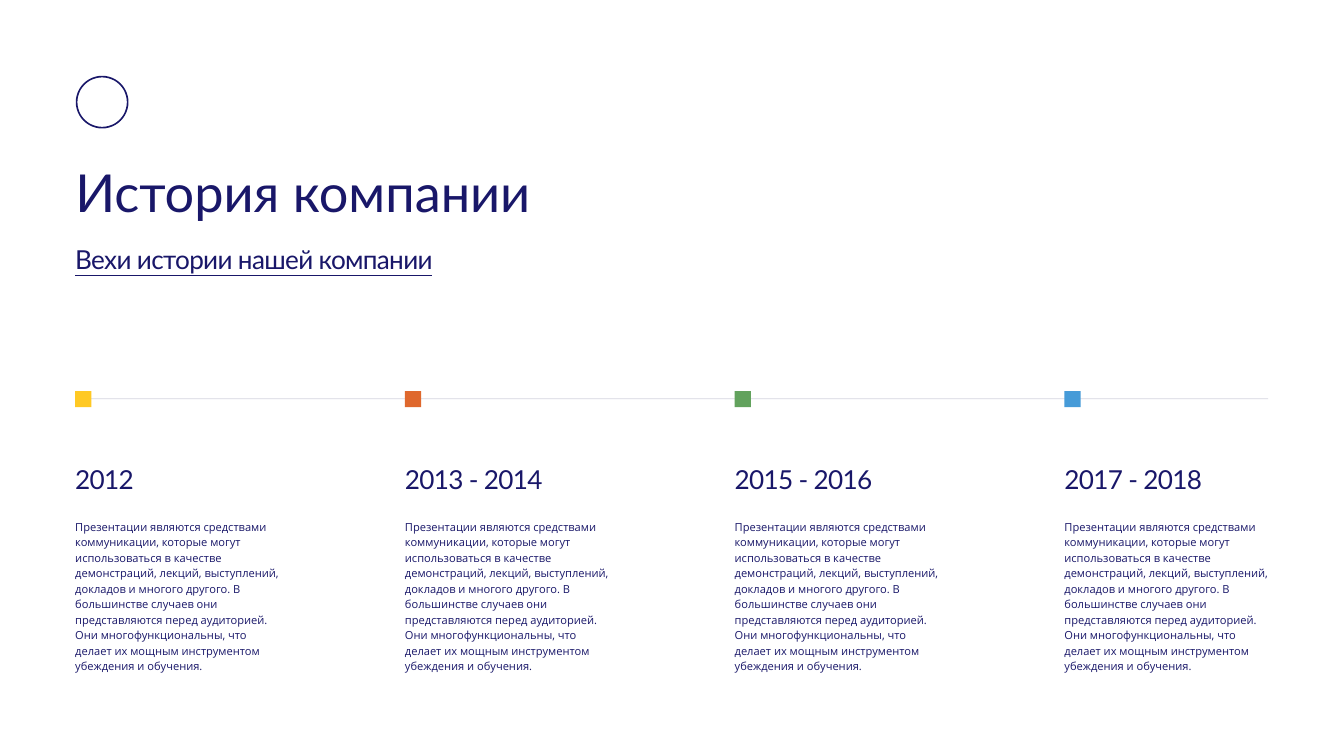
from dataclasses import dataclass

from lxml import etree
from pptx import Presentation
from pptx import util as u
from pptx.dml.color import RGBColor
from pptx.enum import shapes, text
from pptx.oxml.ns import qn
from pptx.shapes.autoshape import Shape
from pptx.slide import Slide

COLORS = {
    "navy": "191769",
    "axis": "29285D",
    "yellow": "FFC924",
    "orange": "DF682D",
    "green": "62A25D",
    "blue": "469BD8",
}

LEFT = 1.12
LAST_COLUMN = 15.84
COLUMN_WIDTH = 3.04
AXIS_WIDTH = 17.75
MARKER_SIZE = 0.24

STORY = (
    "Презентации являются средствами коммуникации, которые могут "
    "использоваться в качестве демонстраций, лекций, выступлений, докладов "
    "и многого другого. В большинстве случаев они представляются перед "
    "аудиторией. Они многофункциональны, что делает их мощным инструментом "
    "убеждения и обучения."
)


@dataclass(frozen=True)
class TextStyle:
    font: str
    size: float
    line_height: float
    tracking: float = 0
    underline: bool = False


@dataclass(frozen=True)
class Milestone:
    years: str
    color: str


TITLE = TextStyle("Lato", 56, 55.4)
SUBTITLE = TextStyle("Lato", 28, 31.1, tracking=-0.7, underline=True)
YEARS = TextStyle("Lato", 28, 35.8, tracking=-0.7)
BODY = TextStyle("Open Sans", 11.9, 16.6)

MILESTONES = [
    Milestone("2012", "yellow"),
    Milestone("2013 - 2014", "orange"),
    Milestone("2015 - 2016", "green"),
    Milestone("2017 - 2018", "blue"),
]


def rgb(name: str) -> RGBColor:
    return RGBColor.from_string(COLORS[name])


def add_block(page: Slide, left: float, top: float, width: float,
              height: float, color: str) -> Shape:
    """Add a filled rectangle without an outline."""
    block = page.shapes.add_shape(
        shapes.MSO_SHAPE.RECTANGLE,
        u.Inches(left), u.Inches(top), u.Inches(width), u.Inches(height))
    block.shadow.inherit = False
    block.fill.solid()
    block.fill.fore_color.rgb = rgb(color)
    block.line.fill.background()
    return block


def add_text(page: Slide, left: float, top: float, width: float,
             height: float, words: str, style: TextStyle) -> None:
    """Add a one-paragraph text box without margins."""
    box = page.shapes.add_textbox(
        u.Inches(left), u.Inches(top), u.Inches(width), u.Inches(height))
    frame = box.text_frame
    frame.margin_left = frame.margin_right = u.Inches(0)
    frame.margin_top = frame.margin_bottom = u.Inches(0)
    frame.word_wrap = True
    frame.auto_size = text.MSO_AUTO_SIZE.SHAPE_TO_FIT_TEXT
    para = frame.paragraphs[0]
    para.line_spacing = u.Pt(style.line_height)
    span = para.add_run()
    span.text = words
    span.font.name = style.font
    span.font.size = u.Pt(style.size)
    span.font.color.rgb = rgb("navy")
    if style.underline:
        span.font.underline = True
    if style.tracking:
        span._r.get_or_add_rPr().set("spc", str(round(style.tracking * 100)))


def add_axis(page: Slide) -> None:
    """Add the pale timeline axis."""
    axis = add_block(page, LEFT, 5.93, AXIS_WIDTH, 0.01, "axis")
    tint = axis._element.spPr.find(f"{qn('a:solidFill')}/{qn('a:srgbClr')}")
    etree.SubElement(tint, qn("a:alpha")).set("val", "20000")


def add_emblem(page: Slide) -> None:
    """Add a plain ring as the emblem."""
    ring = page.shapes.add_shape(
        shapes.MSO_SHAPE.OVAL,
        u.Inches(1.14), u.Inches(1.14), u.Inches(0.76), u.Inches(0.76))
    ring.shadow.inherit = False
    ring.fill.background()
    ring.line.color.rgb = rgb("navy")
    ring.line.width = u.Pt(1.75)


def add_milestone(page: Slide, left: float, milestone: Milestone) -> None:
    """Add one column: marker, years and story."""
    add_block(page, left, 5.82, MARKER_SIZE, MARKER_SIZE, milestone.color)
    add_text(page, left, 6.87, COLUMN_WIDTH, 0.48, milestone.years, YEARS)
    add_text(page, left, 7.71, COLUMN_WIDTH, 2.3, STORY, BODY)


def main() -> None:
    deck = Presentation()
    deck.slide_width = u.Inches(20)
    deck.slide_height = u.Inches(11.25)
    page = deck.slides.add_slide(deck.slide_layouts[6])

    # Axis and emblem
    add_axis(page)
    add_emblem(page)

    # Headings
    add_text(page, LEFT, 2.55, 9.42, 0.85, "История компании", TITLE)
    add_text(page, LEFT, 3.65, 6.24, 0.45,
             "Вехи истории нашей компании", SUBTITLE)

    # Evenly spaced milestones
    step = (LAST_COLUMN - LEFT) / (len(MILESTONES) - 1)
    for index, milestone in enumerate(MILESTONES):
        add_milestone(page, LEFT + index * step, milestone)

    deck.save("out.pptx")


if __name__ == "__main__":
    main()
